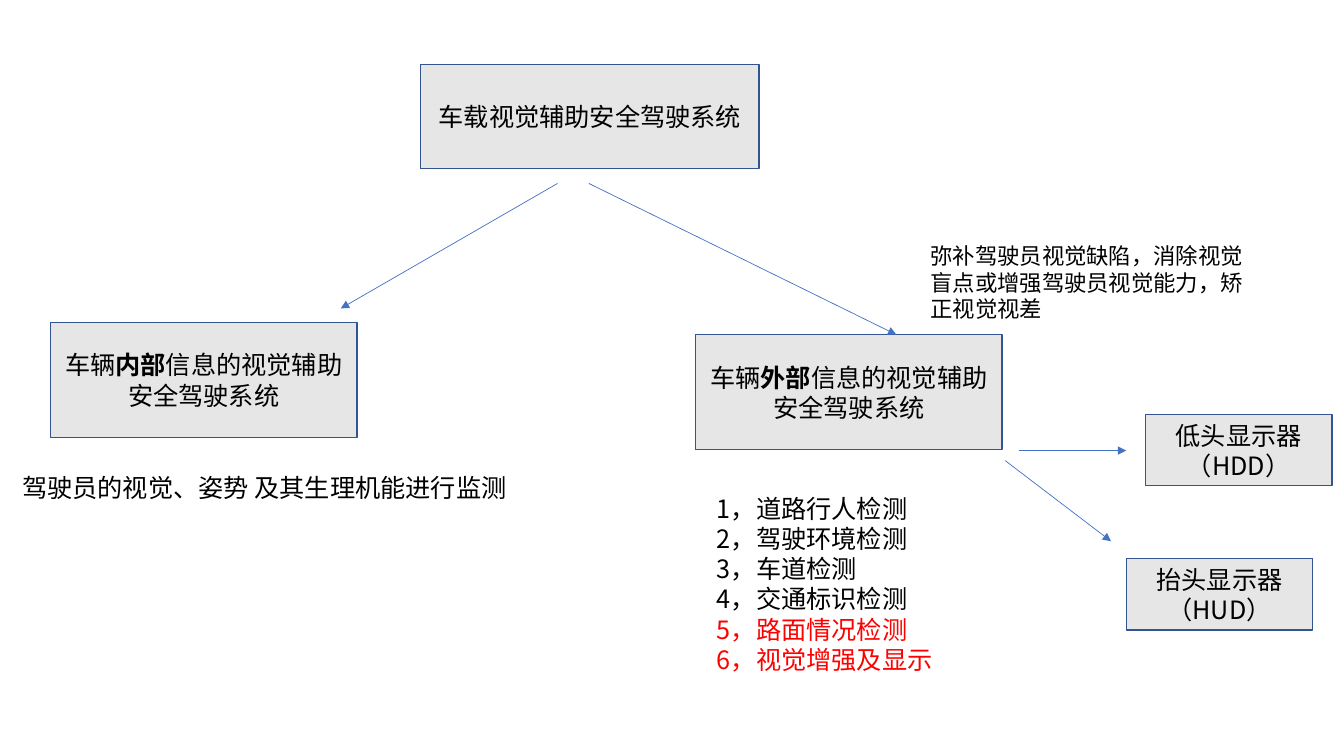
"""Build a slide charting a vision-based driver assistance system."""
from dataclasses import dataclass

from lxml import etree
from pptx import Presentation
from pptx.dml.color import RGBColor
from pptx.enum.shapes import MSO_CONNECTOR, MSO_SHAPE
from pptx.enum.text import MSO_ANCHOR, MSO_AUTO_SIZE, PP_ALIGN
from pptx.oxml.ns import qn
from pptx.shapes.autoshape import Shape
from pptx.slide import Slide
from pptx.util import Inches, Pt

RECTANGLE = MSO_SHAPE.RECTANGLE
STRAIGHT = MSO_CONNECTOR.STRAIGHT
MIDDLE, TOP = MSO_ANCHOR.MIDDLE, MSO_ANCHOR.TOP
CENTER, LEFT = PP_ALIGN.CENTER, PP_ALIGN.LEFT
NO_FIT, GROW = MSO_AUTO_SIZE.NONE, MSO_AUTO_SIZE.SHAPE_TO_FIT_TEXT

FONT = "Noto Sans CJK SC"
BLACK = RGBColor(0x00, 0x00, 0x00)
RED = RGBColor(0xFF, 0x00, 0x00)
GRAY = RGBColor(0xE7, 0xE6, 0xE6)
BORDER = RGBColor(0x32, 0x54, 0x91)
BLUE = RGBColor(0x44, 0x72, 0xC4)


@dataclass(frozen=True)
class Area:
    left: float
    top: float
    width: float
    height: float


@dataclass(frozen=True)
class Node:
    area: Area
    before: str
    bold: str = ""
    after: str = ""


@dataclass(frozen=True)
class Note:
    area: Area
    text: str
    size: int


@dataclass(frozen=True)
class Arrow:
    start: tuple[float, float]
    end: tuple[float, float]


ROOT = Node(Area(4.17, 0.64, 3.36, 1.03), "车载视觉辅助安全驾驶系统")
NODES = [
    Node(Area(0.5, 3.2, 3.04, 1.14), "车辆", "内部", "信息的视觉辅助安全驾驶系统"),
    Node(Area(6.9, 3.32, 3.04, 1.14), "车辆", "外部", "信息的视觉辅助安全驾驶系统"),
    Node(Area(11.36, 4.11, 1.85, 0.71), "低头显示器（HDD）"),
    Node(Area(11.17, 5.54, 1.85, 0.71), "抬头显示器（HUD）"),
]
NOTES = [
    Note(Area(0.12, 4.64, 5.18, 0.4), "驾驶员的视觉、姿势 及其生理机能进行监测", 18),
    Note(Area(9.13, 2.35, 3.43, 0.91),
         "弥补驾驶员视觉缺陷，消除视觉盲点或增强驾驶员视觉能力，矫正视觉视差", 16),
]
ARROWS = [
    Arrow((5.53, 1.82), (3.38, 3.06)),
    Arrow((5.84, 1.82), (8.89, 3.32)),
    Arrow((10.11, 4.47), (11.17, 4.47)),
    Arrow((9.97, 4.57), (11.02, 5.37)),
]
DETECTION_AREA = Area(7.01, 4.84, 5.03, 1.92)
DETECTIONS = [
    ("1，道路行人检测", BLACK),
    ("2，驾驶环境检测", BLACK),
    ("3，车道检测", BLACK),
    ("4，交通标识检测", BLACK),
    ("5，路面情况检测", RED),
    ("6，视觉增强及显示", RED),
]


def bounds(area: Area) -> tuple[int, int, int, int]:
    return (Inches(area.left), Inches(area.top),
            Inches(area.width), Inches(area.height))


def place(shape: Shape, area: Area) -> None:
    shape.left, shape.top, shape.width, shape.height = bounds(area)


def format_paragraph(paragraph, size: int = 18, color: RGBColor = BLACK,
                     alignment: PP_ALIGN = LEFT) -> None:
    paragraph.alignment = alignment
    paragraph.space_before = Pt(0)
    font = paragraph.font
    font.name, font.size = FONT, Pt(size)
    font.color.rgb = color
    latin = paragraph._p.pPr.find(qn("a:defRPr")).find(qn("a:latin"))
    east_asian = etree.Element(qn("a:ea"), typeface=FONT)
    latin.addnext(east_asian)


def format_frame(shape: Shape, anchor: MSO_ANCHOR, fit: MSO_AUTO_SIZE) -> None:
    frame = shape.text_frame
    frame.word_wrap = True
    frame.vertical_anchor = anchor
    frame.auto_size = fit


def format_node(shape: Shape, node: Node) -> None:
    shape.shadow.inherit = False
    shape.fill.solid()
    shape.fill.fore_color.rgb = GRAY
    shape.line.color.rgb = BORDER
    shape.line.width = Pt(1)
    format_frame(shape, MIDDLE, NO_FIT)
    paragraph = shape.text_frame.paragraphs[0]
    format_paragraph(paragraph, alignment=CENTER)
    for text in filter(None, (node.before, node.bold, node.after)):
        run = paragraph.add_run()
        run.text = text
        if text == node.bold:
            run.font.bold = True


def add_note(slide: Slide, note: Note) -> None:
    shape = slide.shapes.add_textbox(*bounds(note.area))
    format_frame(shape, TOP, GROW)
    paragraph = shape.text_frame.paragraphs[0]
    paragraph.text = note.text
    format_paragraph(paragraph, note.size)


def add_arrow(slide: Slide, arrow: Arrow) -> None:
    start, end = map(Inches, arrow.start), map(Inches, arrow.end)
    connector = slide.shapes.add_connector(STRAIGHT, *start, *end)
    connector.line.color.rgb = BLUE
    connector.line.width = Pt(0.5)
    etree.SubElement(connector.line._get_or_add_ln(), qn("a:tailEnd"), type="triangle")
    etree.SubElement(connector._element.spPr, qn("a:effectLst"))


def fill_detections(shape: Shape) -> None:
    place(shape, DETECTION_AREA)
    format_frame(shape, TOP, NO_FIT)
    frame = shape.text_frame
    frame.text = "\n".join(text for text, _ in DETECTIONS)
    for paragraph, (_, color) in zip(frame.paragraphs, DETECTIONS):
        properties = paragraph._p.get_or_add_pPr()
        properties.set("marL", "0")
        properties.set("indent", "0")
        etree.SubElement(properties, qn("a:buNone"))
        format_paragraph(paragraph, color=color)


def main() -> None:
    presentation = Presentation()
    presentation.slide_width = Inches(13.33)
    presentation.slide_height = Inches(7.5)
    slide = presentation.slides.add_slide(presentation.slide_layouts[1])
    title = slide.shapes.title
    place(title, ROOT.area)
    format_node(title, ROOT)
    fill_detections(slide.placeholders[1])
    for node in NODES:
        format_node(slide.shapes.add_shape(RECTANGLE, *bounds(node.area)), node)
    for note in NOTES:
        add_note(slide, note)
    for arrow in ARROWS:
        add_arrow(slide, arrow)
    presentation.save("out.pptx")


if __name__ == "__main__":
    main()
